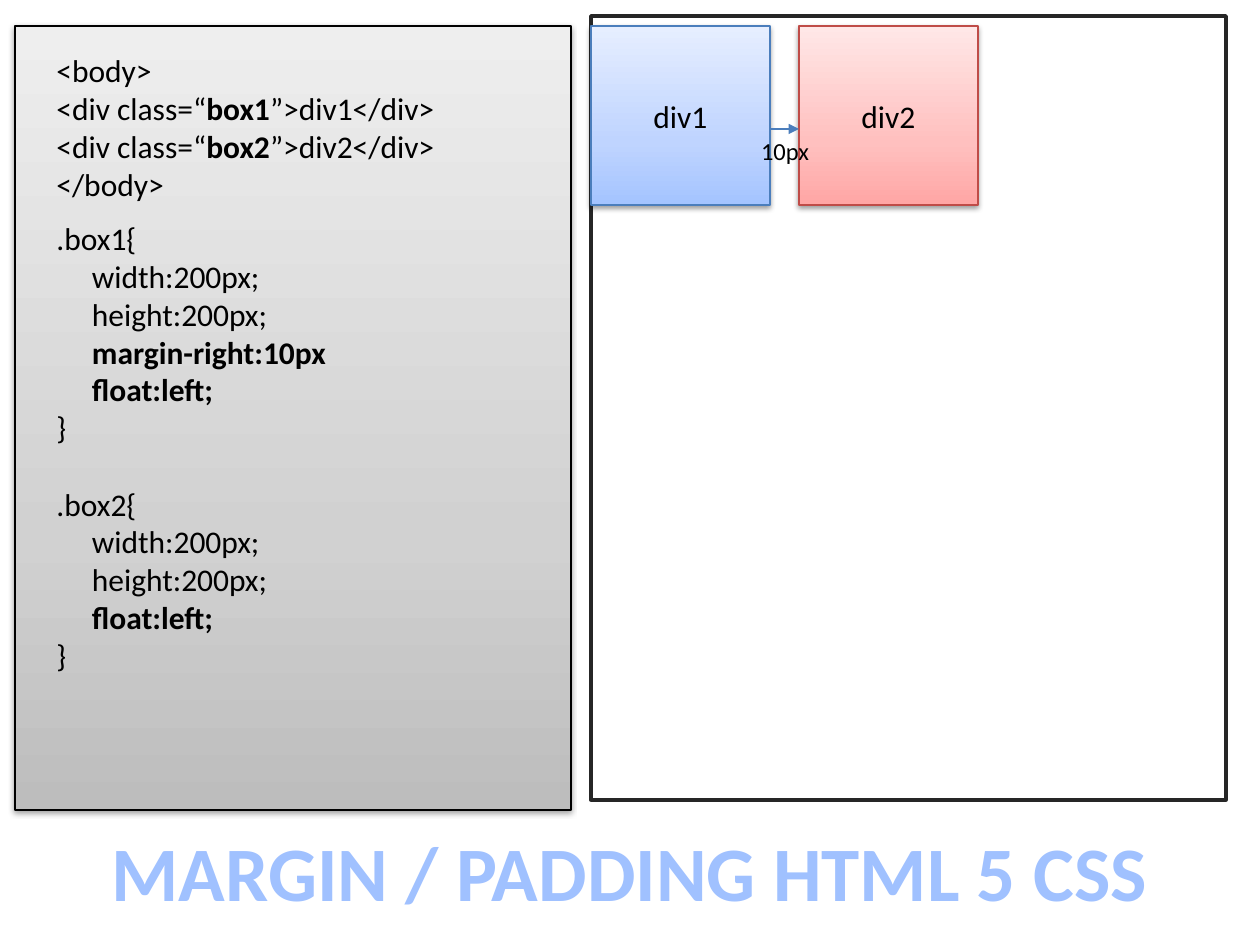
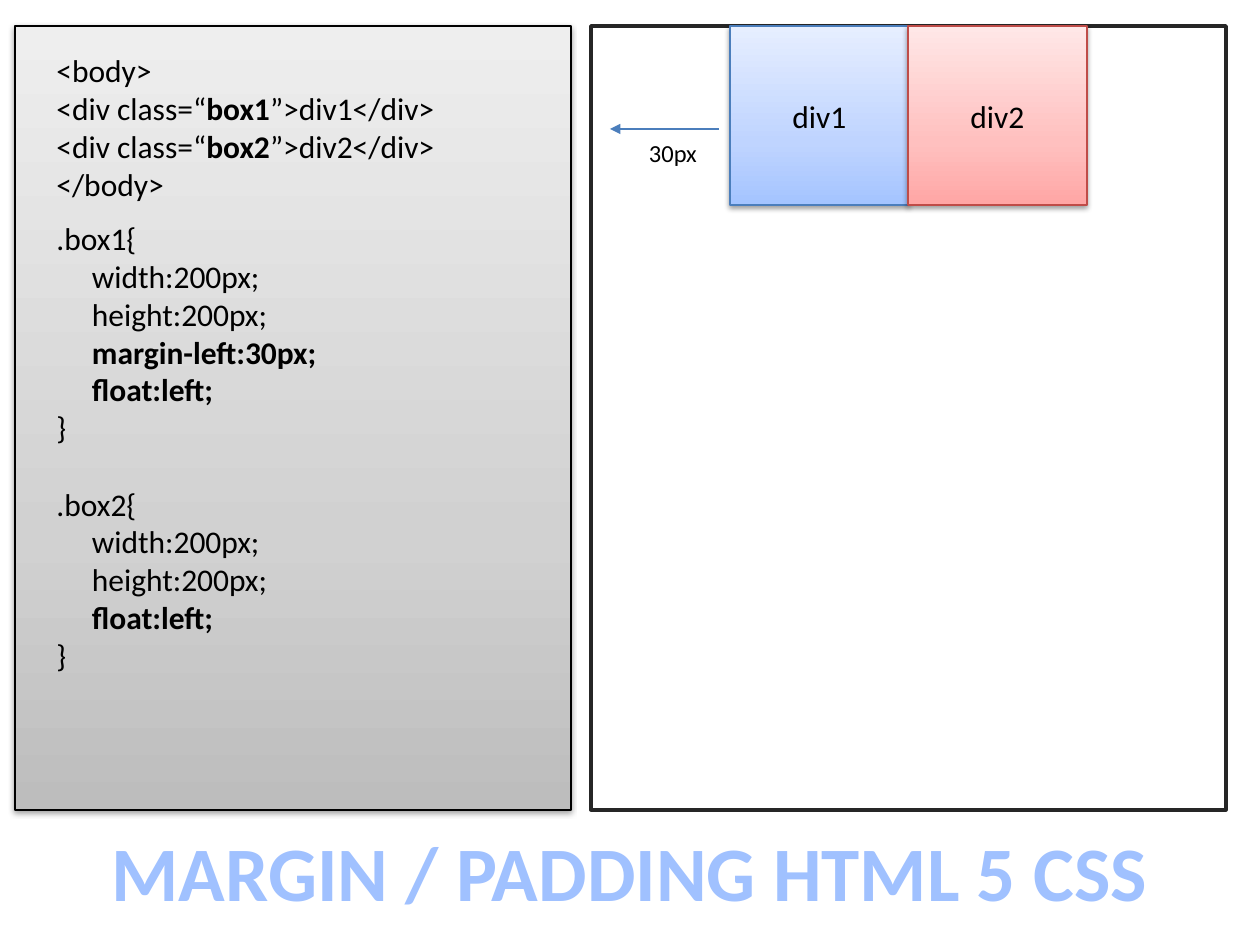
from dataclasses import dataclass

from lxml import etree
from pptx import Presentation
from pptx.dml.color import RGBColor
from pptx.enum.shapes import MSO_CONNECTOR, MSO_SHAPE
from pptx.enum.text import MSO_ANCHOR, MSO_AUTO_SIZE, PP_ALIGN
from pptx.oxml.ns import qn
from pptx.shapes.autoshape import Shape
from pptx.slide import Slide
from pptx.text.text import TextFrame
from pptx.util import Emu, Pt
from copy import deepcopy

RECTANGLE = MSO_SHAPE.RECTANGLE
STRAIGHT = MSO_CONNECTOR.STRAIGHT
MIDDLE, TOP = MSO_ANCHOR.MIDDLE, MSO_ANCHOR.TOP
CENTER, LEFT = PP_ALIGN.CENTER, PP_ALIGN.LEFT
NO_AUTOFIT = MSO_AUTO_SIZE.NONE

BLACK = RGBColor(0x00, 0x00, 0x00)
WHITE = RGBColor(0xFF, 0xFF, 0xFF)
FRAME = RGBColor(0x26, 0x26, 0x26)
BLUE = RGBColor(0x4B, 0x7E, 0xBC)
RED = RGBColor(0xBF, 0x4C, 0x48)
TITLE_BLUE = RGBColor(0xA0, 0xC1, 0xFF)
GREYS = (RGBColor(0xBD, 0xBD, 0xBD), RGBColor(0xD1, 0xD1, 0xD1), RGBColor(0xEE, 0xEE, 0xEE))
BLUES = (RGBColor(0xA4, 0xC4, 0xFF), RGBColor(0xBF, 0xD4, 0xFF), RGBColor(0xE6, 0xEE, 0xFF))
REDS = (RGBColor(0xFF, 0xA6, 0xA5), RGBColor(0xFF, 0xC0, 0xBF), RGBColor(0xFF, 0xE7, 0xE7))
STOPS = (0, 0.35, 1)

FONT = "Calibri"
CODE_SIZE, LABEL_SIZE, TITLE_SIZE = 18, 14, 44
CODE_INDENT = Pt(20.3)
BLANK_LINE = Pt(22)
TITLE = "MARGIN / PADDING HTML 5 CSS"
PANEL_TOP, PANEL_HEIGHT = 26, 784
DIV_SIDE = 179
ARROW_Y = 129
BOLD = "**"


@dataclass(frozen=True)
class Box:
    left: int
    top: int
    width: int
    height: int

    def emu(self) -> tuple[Emu, ...]:
        return tuple(px(n) for n in (self.left, self.top, self.width, self.height))


@dataclass(frozen=True)
class CodeLine:
    text: str
    indented: bool = False
    bold: bool = False
    gap_before: bool = False


@dataclass(frozen=True)
class MarginExample:
    margin_rule: str
    viewport_top: int
    div_lefts: tuple[int, int]
    arrow_from: int
    arrow_to: int
    distance: str
    distance_box: Box


CODE_PANEL = Box(15, PANEL_TOP, 556, PANEL_HEIGHT)
MARKUP_BOX = Box(44, 45, 496, 165)
RULES_BOX = Box(44, 213, 387, 471)
TITLE_BOX = Box(94, 818, 1072, 106)

MARKUP = (
    CodeLine("<body>"),
    CodeLine("<div class=“**box1**”>div1</div>"),
    CodeLine("<div class=“**box2**”>div2</div>"),
    CodeLine("</body>"),
)

EXAMPLES = (
    MarginExample("margin-right:10px", 16, (591, 799), 771, 799, "10px", Box(748, 130, 74, 43)),
    MarginExample("margin-left:30px;", 26, (730, 908), 719, 610, "30px", Box(636, 132, 74, 43)),
)


def px(pixels: int) -> Emu:
    return Emu(round(pixels * 914400 / 126))


def css_rules(margin_rule: str) -> list[CodeLine]:
    size = [CodeLine("width:200px;", True), CodeLine("height:200px;", True)]
    floating = CodeLine("float:left;", True, True)
    return [
        CodeLine(".box1{"), *size, CodeLine(margin_rule, True, True), floating, CodeLine("}"),
        CodeLine(".box2{", gap_before=True), *size, floating, CodeLine("}"),
    ]


def add_rectangle(slide: Slide, box: Box, line: RGBColor, weight: float) -> Shape:
    rectangle = slide.shapes.add_shape(RECTANGLE, *box.emu())
    rectangle.shadow.inherit = False
    rectangle.line.color.rgb = line
    rectangle.line.width = Pt(weight)
    return rectangle


def add_raised_rectangle(slide: Slide, box: Box, colors: tuple[RGBColor, ...], line: RGBColor) -> Shape:
    rectangle = add_rectangle(slide, box, line, 0.75)
    rectangle.fill.gradient()
    rectangle.fill.gradient_angle = 90
    properties = rectangle.element.spPr
    stop_list = properties.find(qn("a:gradFill")).find(qn("a:gsLst"))
    stop_list.append(deepcopy(stop_list[0]))
    for stop, color, position in zip(rectangle.fill.gradient_stops, colors, STOPS):
        stop.color.rgb = color
        stop.position = position
    shadow = etree.SubElement(
        properties.find(qn("a:effectLst")), qn("a:outerShdw"),
        blurRad=str(Pt(3.1)), dist=str(Pt(1.6)), dir="5400000", rotWithShape="0",
    )
    shade = etree.SubElement(shadow, qn("a:srgbClr"), val=str(BLACK))
    etree.SubElement(shade, qn("a:alpha"), val="38000")
    return rectangle


def write_lines(frame: TextFrame, lines: tuple[CodeLine, ...] | list[CodeLine], size: int,
                color: RGBColor = BLACK, alignment: PP_ALIGN = LEFT) -> None:
    for number, line in enumerate(lines):
        paragraph = frame.add_paragraph() if number else frame.paragraphs[0]
        paragraph.alignment = alignment
        paragraph.font.name = FONT
        paragraph.font.size = Pt(size)
        paragraph.font.color.rgb = color
        paragraph.font.bold = line.bold
        if line.indented:
            paragraph._p.get_or_add_pPr().set("marL", str(CODE_INDENT))
        if line.gap_before:
            paragraph.space_before = BLANK_LINE
        for part, text in enumerate(line.text.split(BOLD)):
            run = paragraph.add_run()
            run.text = text
            if part % 2:
                run.font.bold = True


def add_text(slide: Slide, box: Box, lines: tuple[CodeLine, ...] | list[CodeLine],
             size: int = CODE_SIZE, alignment: PP_ALIGN = LEFT, wrap: bool = True) -> None:
    frame = slide.shapes.add_textbox(*box.emu()).text_frame
    frame.word_wrap = wrap
    frame.vertical_anchor = TOP
    write_lines(frame, lines, size, alignment=alignment)


def add_div(slide: Slide, left: int, name: str, colors: tuple[RGBColor, ...], line: RGBColor) -> None:
    div = add_raised_rectangle(slide, Box(left, PANEL_TOP, DIV_SIDE, DIV_SIDE), colors, line)
    div.text_frame.vertical_anchor = MIDDLE
    write_lines(div.text_frame, (CodeLine(name),), CODE_SIZE, alignment=CENTER)


def add_arrow(slide: Slide, start: int, end: int) -> None:
    arrow = slide.shapes.add_connector(STRAIGHT, px(start), px(ARROW_Y), px(end), px(ARROW_Y))
    arrow.line.color.rgb = BLUE
    arrow.line.width = Pt(0.75)
    etree.SubElement(arrow.line._get_or_add_ln(), qn("a:tailEnd"), type="triangle")
    etree.SubElement(arrow._element.spPr, qn("a:effectLst"))


def set_title(slide: Slide) -> None:
    title = slide.shapes.title
    title.left, title.top, title.width, title.height = TITLE_BOX.emu()
    frame = title.text_frame
    frame.auto_size = NO_AUTOFIT
    frame.word_wrap = False
    frame.vertical_anchor = TOP
    write_lines(frame, (CodeLine(TITLE, bold=True),), TITLE_SIZE, TITLE_BLUE, CENTER)


def add_example(presentation: Presentation, example: MarginExample) -> None:
    slide = presentation.slides.add_slide(presentation.slide_layouts.get_by_name("Title Only"))
    set_title(slide)
    add_raised_rectangle(slide, CODE_PANEL, GREYS, BLACK)
    add_text(slide, MARKUP_BOX, MARKUP)
    add_text(slide, RULES_BOX, css_rules(example.margin_rule))
    viewport = add_rectangle(slide, Box(591, example.viewport_top, 635, PANEL_HEIGHT), FRAME, 2)
    viewport.fill.solid()
    viewport.fill.fore_color.rgb = WHITE
    first_left, second_left = example.div_lefts
    add_div(slide, first_left, "div1", BLUES, BLUE)
    add_div(slide, second_left, "div2", REDS, RED)
    add_arrow(slide, example.arrow_from, example.arrow_to)
    add_text(slide, example.distance_box, (CodeLine(example.distance),), LABEL_SIZE, CENTER, False)


def main() -> None:
    presentation = Presentation()
    presentation.slide_width = px(1260)
    presentation.slide_height = px(945)
    for example in EXAMPLES:
        add_example(presentation, example)
    presentation.save("out.pptx")


main()
